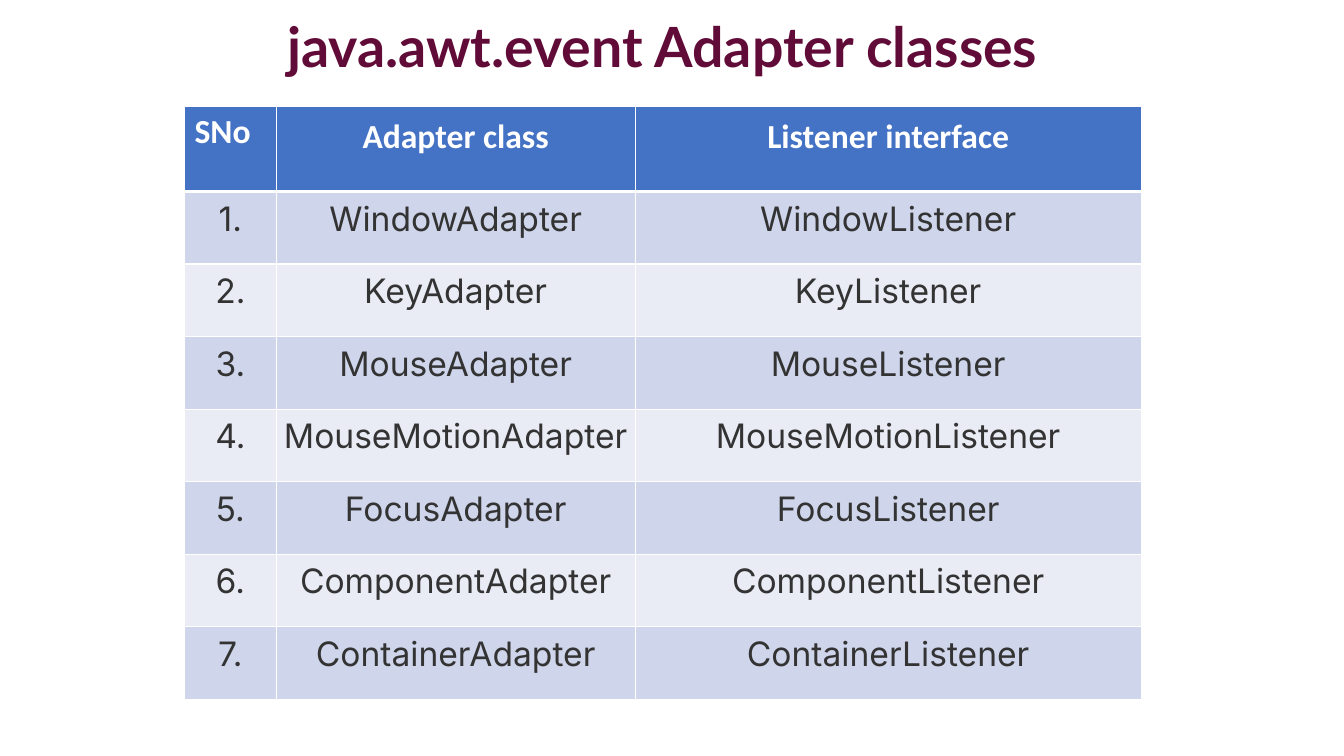
from dataclasses import dataclass

import pptx
import pptx.dml.color
import pptx.enum.text
import pptx.oxml
import pptx.oxml.ns
import pptx.util

Inches = pptx.util.Inches
CENTER = pptx.enum.text.PP_ALIGN.CENTER
LEFT = pptx.enum.text.PP_ALIGN.LEFT

BLUE, WHITE, DARK, MAROON = "4472C4", "FFFFFF", "333333", "610B38"
BANDS = ("CFD5EA", "E9EBF5")
COLUMN_WIDTHS = (0.91, 3.56, 5.02)
HEADER_HEIGHT, ROW_HEIGHT = 0.84, 0.72
THIN, THICK = 1, 3
EVENT_KINDS = ("Window", "Key", "Mouse", "MouseMotion", "Focus", "Component", "Container")


@dataclass
class TableCell:
    text: str
    fill: str
    font: str
    color: str
    bold: bool = False
    align: pptx.enum.text.PP_ALIGN = CENTER
    margins: tuple[float, float] = (0.07, 0.07)  # horizontal, vertical
    top: int = THIN
    bottom: int = THIN


def rgb(value: str) -> pptx.dml.color.RGBColor:
    return pptx.dml.color.RGBColor.from_string(value)


def write_text(frame, text: str, *, font: str, size: float, color: str,
               bold: bool = False, align=CENTER, spacing: float = 1.0) -> None:
    para = frame.paragraphs[0]
    para.alignment = align
    para.line_spacing = spacing
    span = para.add_run()
    span.text = text
    span.font.name = font
    span.font.size = pptx.util.Pt(size)
    span.font.bold = bold
    span.font.color.rgb = rgb(color)


def add_borders(cell, top: int, bottom: int) -> None:
    properties = cell._tc.get_or_add_tcPr()
    for side, points in (("L", THIN), ("R", THIN), ("T", top), ("B", bottom)):
        properties.append(pptx.oxml.parse_xml(
            f'<a:ln{side} {pptx.oxml.ns.nsdecls("a")} w="{pptx.util.Pt(points)}">'
            f'<a:solidFill><a:srgbClr val="{WHITE}"/></a:solidFill></a:ln{side}>'))


def draw_cell(cell, content: TableCell) -> None:
    add_borders(cell, content.top, content.bottom)
    cell.fill.solid()
    cell.fill.fore_color.rgb = rgb(content.fill)
    horizontal, vertical = content.margins
    cell.margin_left = cell.margin_right = Inches(horizontal)
    cell.margin_top = cell.margin_bottom = Inches(vertical)
    write_text(cell.text_frame, content.text, font=content.font, size=24,
               color=content.color, bold=content.bold, align=content.align)


def header_cell(text: str, align=CENTER, margins=(0.1, 0.1)) -> TableCell:
    return TableCell(text, BLUE, "Calibri", WHITE, True, align, margins, bottom=THICK)


def adapter_row(index: int, kind: str) -> list[TableCell]:
    texts = (f"{index + 1}.", f"{kind}Adapter", f"{kind}Listener")
    return [TableCell(text, BANDS[index % 2], "Inter", DARK,
                      top=THIN if index else THICK) for text in texts]


def add_title(page) -> None:
    box = page.shapes.add_textbox(Inches(0.63), Inches(0.12), Inches(11.88), Inches(0.74))
    frame = box.text_frame
    frame.word_wrap = True
    frame.vertical_anchor = pptx.enum.text.MSO_ANCHOR.MIDDLE
    write_text(frame, "java.awt.event Adapter classes", font="Lato", size=39.6,
               color=MAROON, bold=True, spacing=0.9)


def add_adapter_table(page) -> None:
    rows = [[header_cell("SNo", LEFT, (0.1, 0.05)),
             header_cell("Adapter class"), header_cell("Listener interface")]]
    rows += [adapter_row(index, kind) for index, kind in enumerate(EVENT_KINDS)]
    heights = [HEADER_HEIGHT] + [ROW_HEIGHT] * len(EVENT_KINDS)
    table = page.shapes.add_table(
        len(rows), len(COLUMN_WIDTHS), Inches(1.83), Inches(1.06),
        Inches(sum(COLUMN_WIDTHS)), Inches(sum(heights))).table
    for column, width in zip(table.columns, COLUMN_WIDTHS):
        column.width = Inches(width)
    for row, height, contents in zip(table.rows, heights, rows):
        row.height = Inches(height)
        for cell, content in zip(row.cells, contents):
            draw_cell(cell, content)


def main() -> None:
    deck = pptx.Presentation()
    deck.slide_width, deck.slide_height = Inches(13.33), Inches(7.5)
    page = deck.slides.add_slide(deck.slide_layouts[6])
    add_title(page)
    add_adapter_table(page)
    deck.save("out.pptx")


if __name__ == "__main__":
    main()
